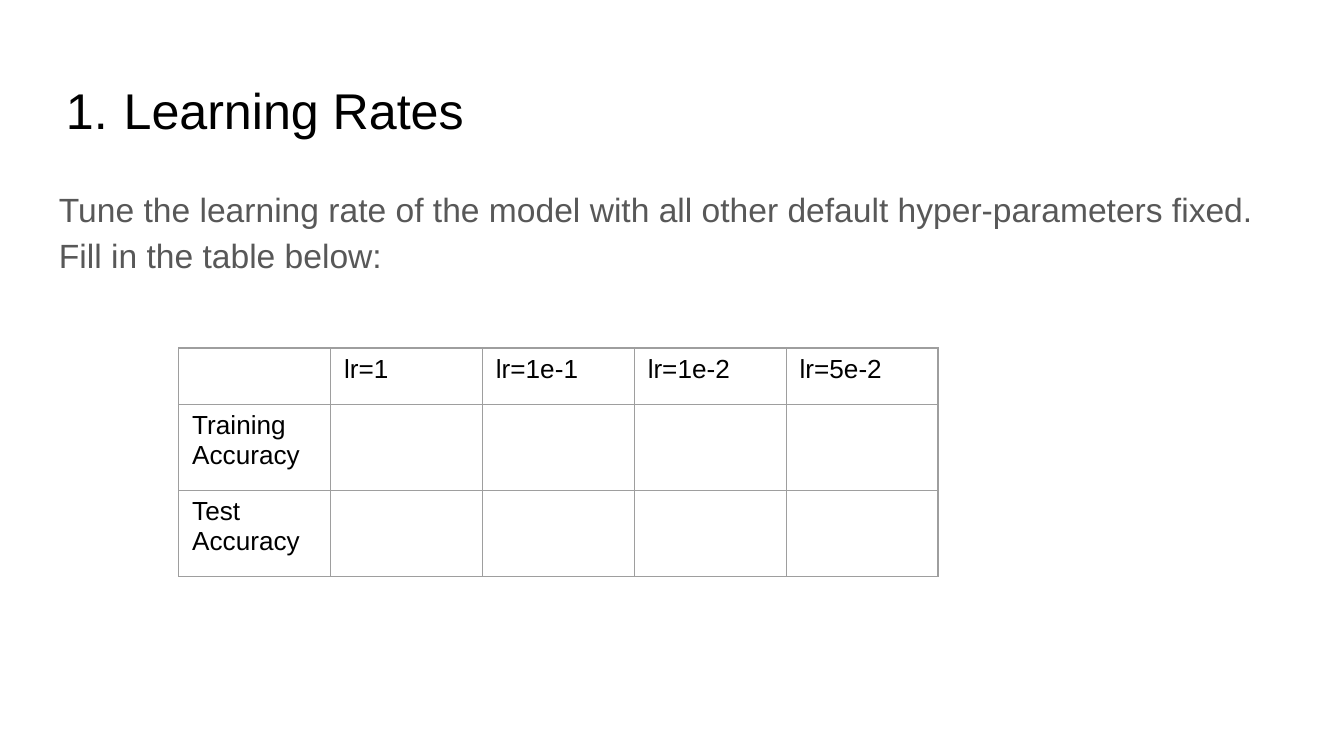
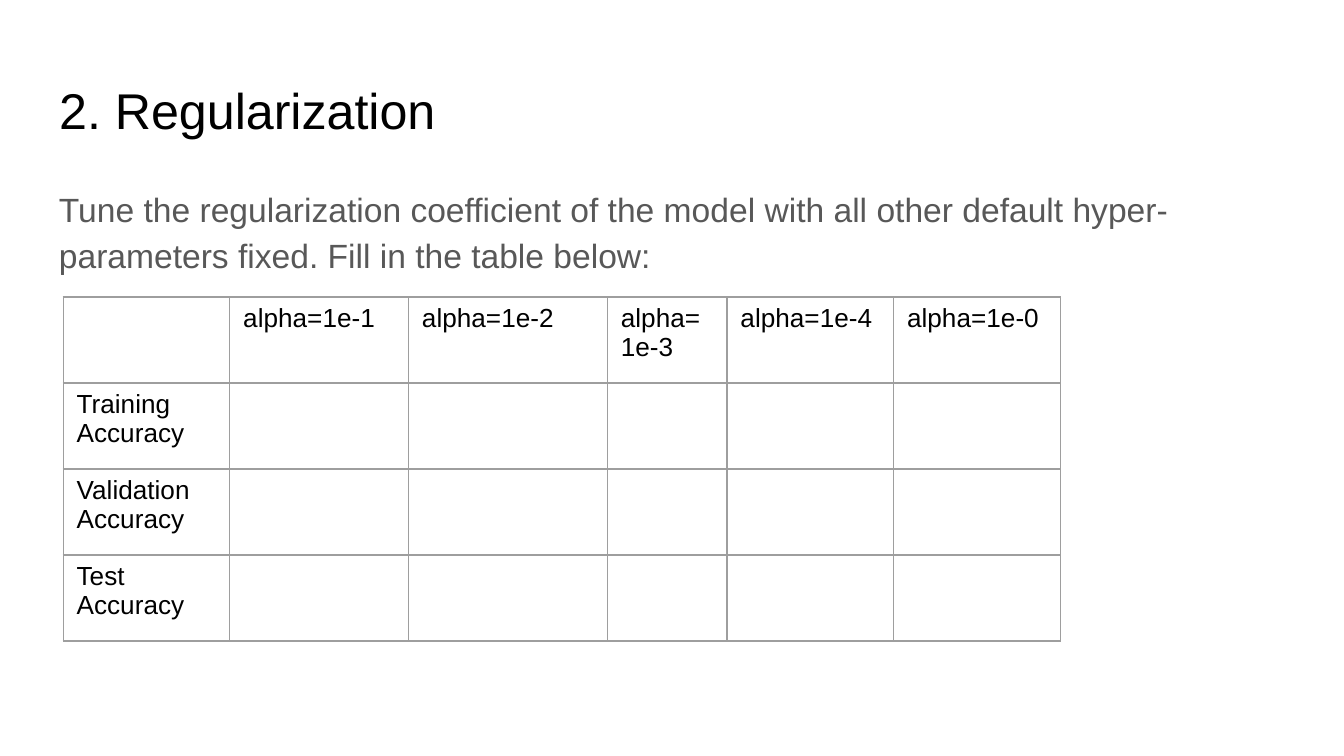
from lxml.etree import SubElement
from pptx import Presentation
from pptx.dml.color import RGBColor
from pptx.enum.text import MSO_ANCHOR, MSO_AUTO_SIZE, PP_ALIGN
from pptx.oxml.ns import qn
from pptx.util import Inches, Pt

FONT = "Arial"
BLACK = RGBColor(0x00, 0x00, 0x00)
GRAY = RGBColor(0x58, 0x58, 0x58)
BORDER = RGBColor(0x9E, 0x9E, 0x9E)

SLIDE_W, SLIDE_H = 10, 5.625
MARGIN = 0.34
CONTENT_W = SLIDE_W - 2 * MARGIN
TITLE_BOX = (MARGIN, 0.49, CONTENT_W, 0.63)
BODY_BOX = (MARGIN, 1.26, CONTENT_W, 3.74)
INSET = 0.1
SHORT_ROW, TALL_ROW = 0.42, 0.64


def write(tf, text, size=14, color=BLACK, spacing=None, before=None,
          inset_y=INSET):
    """Put one formatted paragraph in a text frame and return it."""
    tf.word_wrap = True
    tf.auto_size = MSO_AUTO_SIZE.NONE
    tf.vertical_anchor = MSO_ANCHOR.TOP
    tf.margin_left = tf.margin_right = Inches(INSET)
    tf.margin_top = tf.margin_bottom = Inches(inset_y)
    p = tf.paragraphs[0]
    p.alignment = PP_ALIGN.LEFT
    if spacing:
        p.line_spacing = spacing
    if before:
        p.space_before = Pt(before)
    r = p.add_run()
    r.text = text
    r.font.name = FONT
    r.font.size = Pt(size)
    r.font.color.rgb = color
    return p


def number(p, indent, hanging):
    """Turn a paragraph into an automatically numbered item."""
    pPr = p._p.get_or_add_pPr()
    pPr.set("marL", str(Inches(indent)))
    pPr.set("indent", str(-Inches(hanging)))
    color = SubElement(pPr, qn("a:buClr"))
    SubElement(color, qn("a:srgbClr"), val=str(BLACK))
    SubElement(pPr, qn("a:buFont"), typeface=FONT)
    SubElement(pPr, qn("a:buAutoNum"), type="arabicPeriod")


def add_slide(prs, title, body, numbered=False, before=None):
    """Add a slide with a title and a task description."""
    s = prs.slides.add_slide(prs.slide_layouts[5])
    sp = s.shapes.title
    sp.left, sp.top, sp.width, sp.height = map(Inches, TITLE_BOX)
    p = write(sp.text_frame, title, size=26.9)
    if numbered:
        number(p, 0.48, 0.43)
    box = s.shapes.add_textbox(*map(Inches, BODY_BOX))
    write(box.text_frame, body, size=18, color=GRAY, spacing=1.15,
          before=before)
    return s


def style_cell(cell):
    """Give a cell thin gray borders and no fill."""
    tcPr = cell._tc.get_or_add_tcPr()
    for side in ("lnL", "lnR", "lnT", "lnB"):
        ln = SubElement(tcPr, qn("a:" + side), w=str(Pt(0.74)))
        fill = SubElement(ln, qn("a:solidFill"))
        SubElement(fill, qn("a:srgbClr"), val=str(BORDER))
    cell.fill.background()


def add_blank_table(s, left, top, headers, labels, widths, heights):
    """Add a table to fill in, with column headers and row labels."""
    frame = s.shapes.add_table(len(heights), len(widths), Inches(left),
                               Inches(top), Inches(sum(widths)),
                               Inches(sum(heights)))
    table = frame.table
    table.first_row = table.horz_banding = False
    for column, width in zip(table.columns, widths):
        column.width = Inches(width)
    for row, height in zip(table.rows, heights):
        row.height = Inches(height)
    for cell in table.iter_cells():
        style_cell(cell)
    for col, text in enumerate(headers, 1):
        fill_cell(table.cell(0, col), text)
    for row, text in enumerate(labels, 1):
        fill_cell(table.cell(row, 0), text)


def fill_cell(cell, text):
    """Write a header or label in a table cell."""
    tf = cell.text_frame
    p = tf.paragraphs[0]
    cell.margin_left = cell.margin_right = Inches(INSET)
    cell.margin_top = cell.margin_bottom = Inches(INSET / 2)
    cell.vertical_anchor = MSO_ANCHOR.TOP
    r = p.add_run()
    r.text = text
    r.font.name = FONT
    r.font.size = Pt(14)
    r.font.color.rgb = BLACK


def main():
    """Build the two slides."""
    prs = Presentation()
    prs.slide_width, prs.slide_height = Inches(SLIDE_W), Inches(SLIDE_H)
    task = ("Tune the {} of the model with all other default "
            "hyper-parameters fixed. Fill in the table below:")

    s = add_slide(prs, "Learning Rates", task.format("learning rate"),
                  numbered=True)
    rates = ["1", "1e-1", "1e-2", "5e-2"]
    add_blank_table(s, 1.33, 2.59, ["lr=" + rate for rate in rates],
                    ["Training Accuracy", "Test Accuracy"],
                    [1.13] * 5, [SHORT_ROW] + [TALL_ROW] * 2)

    s = add_slide(prs, "2. Regularization",
                  task.format("regularization coefficient"), before=16)
    alphas = ["1e-1", "1e-2", "1e-3", "1e-4", "1e-0"]
    add_blank_table(s, 0.47, 2.21, ["alpha=" + alpha for alpha in alphas],
                    ["Training Accuracy", "Validation Accuracy",
                     "Test Accuracy"],
                    [1.24, 1.33, 1.48, 0.89, 1.24, 1.24], [TALL_ROW] * 4)
    prs.save("out.pptx")


if __name__ == "__main__":
    main()
